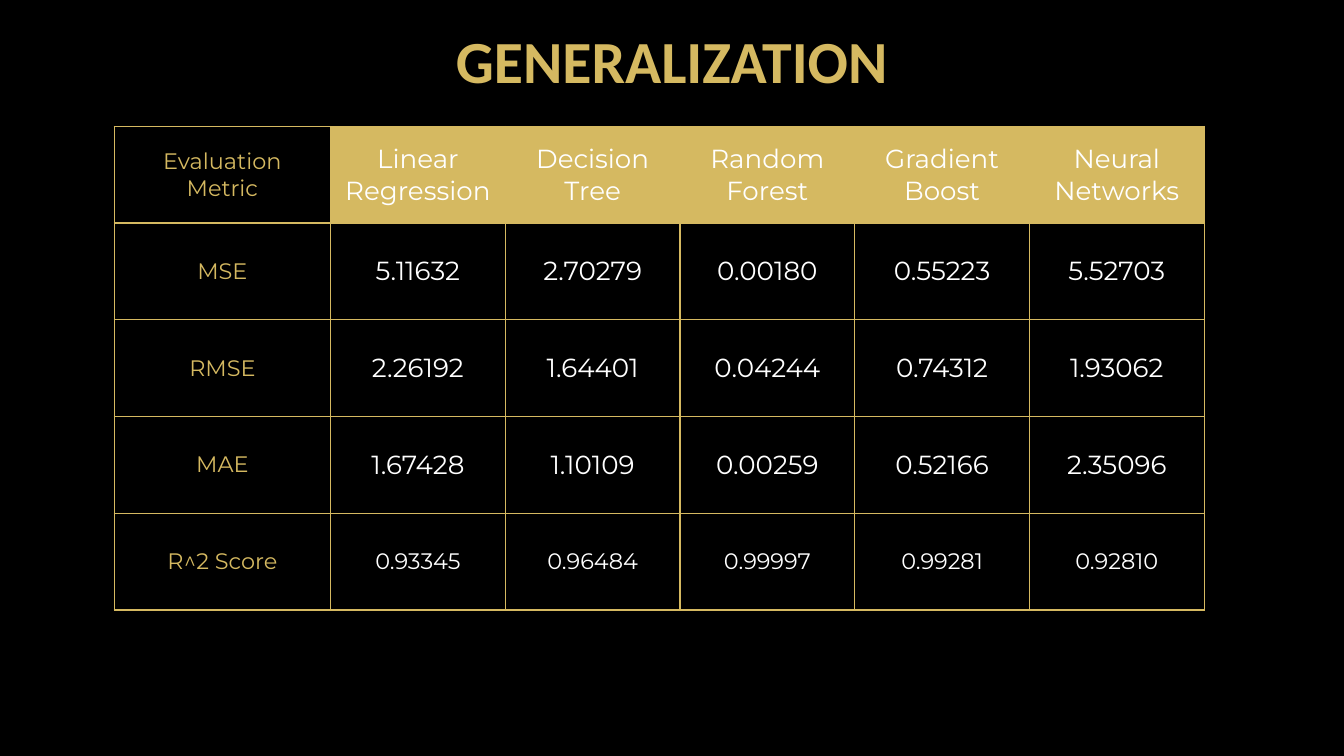
from dataclasses import dataclass

from lxml.etree import SubElement
from pptx import Presentation
from pptx.dml.color import RGBColor
from pptx.enum.text import MSO_ANCHOR as Anchor, PP_ALIGN as Align
from pptx.oxml.ns import qn
from pptx.slide import Slide
from pptx.table import _Cell as Cell
from pptx.text.text import _Paragraph as Para
from pptx.util import Inches, Pt

GOLD = RGBColor(0xD5, 0xB9, 0x61)
WHITE = RGBColor(0xFF, 0xFF, 0xFF)
BLACK = RGBColor(0x00, 0x00, 0x00)
PAD = Inches(0.1)


@dataclass(frozen=True)
class Row:
    label: str
    values: tuple[str, ...]
    size: int = 14
    fill: RGBColor | None = None


ROWS = (
    Row("Evaluation Metric", ("Linear Regression", "Decision Tree", "Random Forest",
                              "Gradient Boost", "Neural Networks"), fill=GOLD),
    Row("MSE", ("5.11632", "2.70279", "0.00180", "0.55223", "5.52703")),
    Row("RMSE", ("2.26192", "1.64401", "0.04244", "0.74312", "1.93062")),
    Row("MAE", ("1.67428", "1.10109", "0.00259", "0.52166", "2.35096")),
    Row("R^2 Score", ("0.93345", "0.96484", "0.99997", "0.99281", "0.92810"), size=12),
)


def write(para: Para, text: str, face: str, size: int, color: RGBColor) -> None:
    para.text = text
    para.alignment = Align.CENTER
    para.font.name = face
    para.font.size = Pt(size)
    para.font.color.rgb = color


def edge(cell: Cell) -> None:
    props = cell._tc.get_or_add_tcPr()
    for tag in ("a:lnL", "a:lnR", "a:lnT", "a:lnB"):
        line = SubElement(props, qn(tag), w=str(Pt(0.75)))
        fill = SubElement(line, qn("a:solidFill"))
        SubElement(fill, qn("a:srgbClr"), val=str(GOLD))


def draw_cell(cell: Cell, text: str, size: int, color: RGBColor,
              fill: RGBColor | None = None) -> None:
    edge(cell)
    if fill is None:
        cell.fill.background()
    else:
        cell.fill.solid()
        cell.fill.fore_color.rgb = fill
    cell.vertical_anchor = Anchor.MIDDLE
    cell.margin_left = cell.margin_right = PAD
    cell.margin_top = cell.margin_bottom = PAD
    write(cell.text_frame.paragraphs[0], text, "Montserrat", size, color)


def draw_title(slide: Slide) -> None:
    box = slide.shapes.add_textbox(Inches(2.32), Inches(0.25), Inches(5.36), Inches(0.56))
    frame = box.text_frame
    frame.word_wrap = True
    frame.vertical_anchor = Anchor.BOTTOM
    frame.margin_left = frame.margin_right = PAD
    frame.margin_top = frame.margin_bottom = PAD
    para = frame.paragraphs[0]
    write(para, "GENERALIZATION", "Calibri", 32, GOLD)
    para.font.bold = True


def draw_table(slide: Slide) -> None:
    widths = [1.61] + [1.3] * len(ROWS[0].values)
    high = 0.72
    table = slide.shapes.add_table(
        len(ROWS), len(widths), Inches(0.85), Inches(0.94),
        Inches(sum(widths)), Inches(high * len(ROWS))).table
    table.first_row = table.horz_banding = False
    for col, width in zip(table.columns, widths):
        col.width = Inches(width)
    for i, row in enumerate(ROWS):
        table.rows[i].height = Inches(high)
        draw_cell(table.cell(i, 0), row.label, 12, GOLD)
        for j, value in enumerate(row.values, 1):
            draw_cell(table.cell(i, j), value, row.size, WHITE, row.fill)


def main() -> None:
    deck = Presentation()
    deck.slide_width = Inches(10)
    deck.slide_height = Inches(10 * 9 / 16)
    slide = deck.slides.add_slide(deck.slide_layouts[6])
    back = slide.background.fill
    back.solid()
    back.fore_color.rgb = BLACK
    draw_title(slide)
    draw_table(slide)
    deck.save("out.pptx")


if __name__ == "__main__":
    main()
